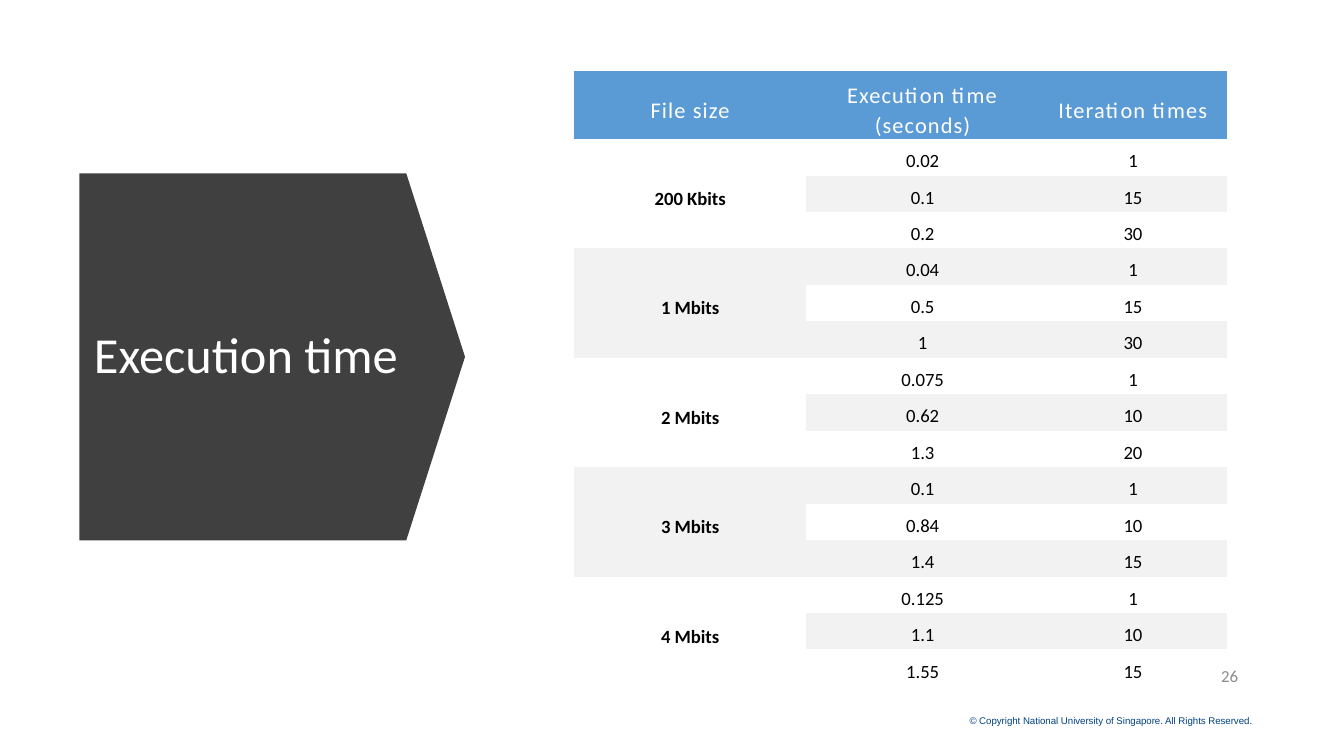
from dataclasses import dataclass

from pptx import Presentation
from pptx import util as u
from pptx.dml.color import RGBColor
from pptx.enum import shapes, text
from pptx.oxml.ns import qn


@dataclass(frozen=True)
class Theme:
    font: str = "Calibri"
    legal_font: str = "Arial"
    dark: str = "404040"
    header: str = "5B9BD5"
    band: str = "F2F2F2"
    white: str = "FFFFFF"
    black: str = "000000"
    grey: str = "8C8C8C"
    navy: str = "004282"
    title_size: float = 27
    header_size: float = 12
    body_size: float = 10
    number_size: float = 9
    legal_size: float = 5.2
    plain_table: str = "{2D5ABB26-0587-4C30-8999-92F81FD0307C}"


HEADINGS = ["File size", "Execution time (seconds)", "Iteration times"]
RUNS = {
    "200 Kbits": [("0.02", "1"), ("0.1", "15"), ("0.2", "30")],
    "1 Mbits": [("0.04", "1"), ("0.5", "15"), ("1", "30")],
    "2 Mbits": [("0.075", "1"), ("0.62", "10"), ("1.3", "20")],
    "3 Mbits": [("0.1", "1"), ("0.84", "10"), ("1.4", "15")],
    "4 Mbits": [("0.125", "1"), ("1.1", "10"), ("1.55", "15")],
}


def grid(*steps):
    """Convert steps of a 100-column grid on the 10 inch slide to lengths."""
    return [u.Inches(step / 10) for step in steps]


class SlideBuilder:
    def __init__(self, deck, theme):
        self.theme = theme
        self.slide = deck.slides.add_slide(deck.slide_layouts[5])

    def style(self, para, size, color, align, font=None, bold=False):
        para.alignment = align
        para.font.name = font or self.theme.font
        para.font.size = u.Pt(size)
        para.font.bold = bold
        para.font.color.rgb = RGBColor.from_string(color)

    def title(self, words, place):
        box = self.slide.shapes.title
        box.left, box.top, box.width, box.height = grid(*place)
        frame = box.text_frame
        frame.text = words
        frame.word_wrap = True
        frame.vertical_anchor = text.MSO_ANCHOR.MIDDLE
        para = frame.paragraphs[0]
        para.line_spacing = 0.9
        self.style(para, self.theme.title_size, self.theme.white, text.PP_ALIGN.CENTER)

    def arrow_behind_title(self, place):
        arrow = self.slide.shapes.add_shape(shapes.MSO_SHAPE.DOWN_ARROW, *grid(*place))
        arrow.rotation = 270
        arrow.adjustments[0] = 1
        arrow.adjustments[1] = 0.16
        arrow.shadow.inherit = False
        arrow.fill.solid()
        arrow.fill.fore_color.rgb = RGBColor.from_string(self.theme.dark)
        arrow.line.fill.background()
        self.slide.shapes.title.element.addprevious(arrow.element)

    def label(self, words, place, size, color, font=None):
        box = self.slide.shapes.add_textbox(*grid(*place))
        frame = box.text_frame
        frame.word_wrap = True
        frame.vertical_anchor = text.MSO_ANCHOR.MIDDLE
        frame.text = words
        self.style(frame.paragraphs[0], size, color, text.PP_ALIGN.RIGHT, font)

    def cell(self, cell, words, fill=None, size=None, color=None, bold=False, middle=True):
        cell.margin_left, cell.margin_top, cell.margin_right, cell.margin_bottom = grid(0.5, 0.7, 0.5, 0)
        cell.vertical_anchor = text.MSO_ANCHOR.MIDDLE if middle else text.MSO_ANCHOR.TOP
        if fill:
            cell.fill.solid()
            cell.fill.fore_color.rgb = RGBColor.from_string(fill)
        else:
            cell.fill.background()
        cell.text = words
        para = cell.text_frame.paragraphs[0]
        para.line_spacing = 1.07
        para.space_after = u.Pt(8)
        self.style(para, size or self.theme.body_size, color or self.theme.black,
                   text.PP_ALIGN.CENTER, bold=bold)
        return para

    def table(self, headings, groups, place, widths, header_height):
        theme = self.theme
        count = sum(len(runs) for runs in groups.values())
        frame = self.slide.shapes.add_table(count + 1, len(headings), *grid(*place))
        table = frame.table
        table.horz_banding = False
        frame.element.find(".//" + qn("a:tableStyleId")).text = theme.plain_table
        for column, width in zip(table.columns, grid(*widths)):
            column.width = width
        heights = [header_height] + [(place[3] - header_height) / count] * count
        for row, height in zip(table.rows, grid(*heights)):
            row.height = height

        for column, heading in enumerate(headings):
            para = self.cell(table.cell(0, column), heading, theme.header,
                             theme.header_size, theme.white)
            para.runs[0].font._element.set("spc", "60")

        row = 1
        for name, runs in groups.items():
            head = table.cell(row, 0)
            head.merge(table.cell(row + len(runs) - 1, 0))
            self.cell(head, name, self.band(row), bold=True)
            for values in runs:
                for column, value in enumerate(values, 1):
                    self.cell(table.cell(row, column), value, self.band(row), middle=False)
                row += 1

    def band(self, row):
        """Fill of a body row: every second one is shaded."""
        return self.theme.band if row % 2 == 0 else None


def main():
    theme = Theme()
    deck = Presentation()
    deck.slide_width, deck.slide_height = grid(100, 56.25)
    page = SlideBuilder(deck, theme)
    page.title("Execution time", (5.9, 16.1, 24.8, 20.9))
    page.arrow_behind_title((6.6, 12.2, 27.3, 28.7))
    page.table(HEADINGS, RUNS, (42.7, 5.3, 48.6, 45.7), (17.3, 17.3, 14), 5)
    page.label("26", (70.6, 48.8, 22.5, 3), theme.number_size, theme.grey)
    page.label("© Copyright National University of Singapore. All Rights Reserved.",
               (70.4, 52.7, 23.8, 1.9), theme.legal_size, theme.navy, theme.legal_font)
    deck.save("out.pptx")


if __name__ == "__main__":
    main()
